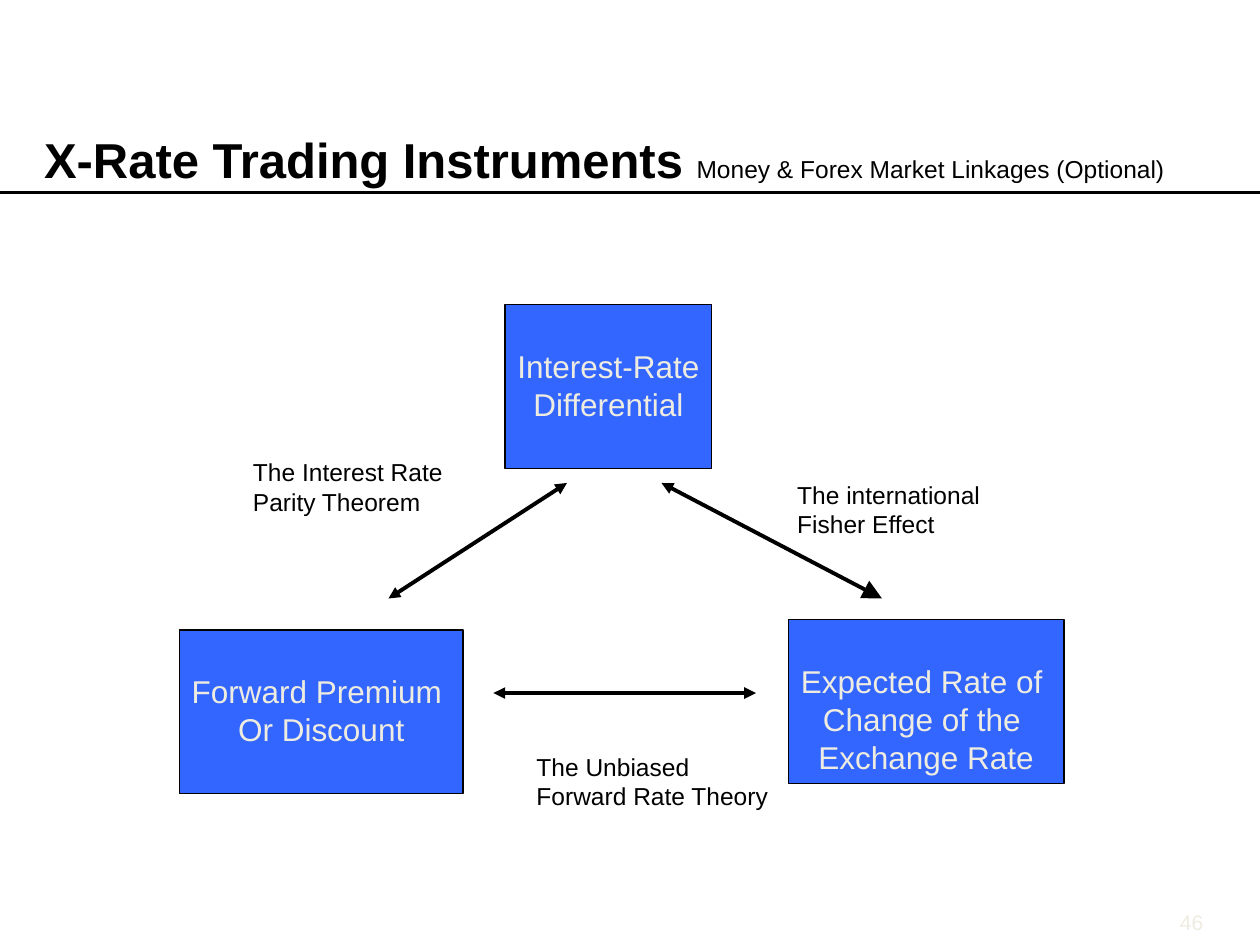
from dataclasses import dataclass

from lxml.etree import SubElement
from pptx import Presentation
from pptx.dml.color import RGBColor as RGB
from pptx.enum.shapes import MSO_CONNECTOR as CONN, MSO_SHAPE as SHAPE
from pptx.enum.text import MSO_ANCHOR as ANCHOR, PP_ALIGN as ALIGN
from pptx.oxml.ns import qn
from pptx.util import Pt


@dataclass(frozen=True)
class Theme:
    """Colours and type sizes of the slide."""
    font: str = "Arial"
    ink: RGB = RGB(0x00, 0x00, 0x00)
    box: RGB = RGB(0x33, 0x66, 0xFF)
    pale: RGB = RGB(0xEE, 0xEC, 0xE1)
    title: int = 28
    body: int = 18
    label: int = 14
    number: int = 12


T = Theme()
BOX_H = 93.6
LABEL_H = 41


def add_run(p, text, size=T.label, color=T.ink, bold=False):
    """Append a formatted run to a paragraph."""
    r = p.add_run()
    r.text = text
    r.font.name, r.font.size, r.font.bold = T.font, Pt(size), bold
    r.font.color.rgb = color


def set_text(tf, lines, align=ALIGN.LEFT, wrap=False, insets=(7.2, 3.6, 7.2, 3.6), **fmt):
    """Fill a text frame with one paragraph per line."""
    tf.word_wrap, tf.vertical_anchor = wrap, ANCHOR.TOP
    tf.margin_left, tf.margin_top, tf.margin_right, tf.margin_bottom = map(Pt, insets)
    for i, line in enumerate(lines):
        p = tf.add_paragraph() if i else tf.paragraphs[0]
        p.alignment = align
        add_run(p, line, **fmt)


def add_text(s, x, y, w, h, lines, **fmt):
    """Add a text box and return its text frame."""
    tf = s.shapes.add_textbox(Pt(x), Pt(y), Pt(w), Pt(h)).text_frame
    set_text(tf, lines, **fmt)
    return tf


def add_box(s, x, y, w, lines):
    """Add a blue box with its text set one line below the top."""
    sp = s.shapes.add_shape(SHAPE.RECTANGLE, Pt(x), Pt(y), Pt(w), Pt(BOX_H))
    sp.shadow.inherit = False
    sp.fill.solid()
    sp.fill.fore_color.rgb = T.box
    sp.line.color.rgb, sp.line.width = T.ink, Pt(0.75)
    set_text(sp.text_frame, lines, align=ALIGN.CENTER, insets=(7.2, 24.3, 7.2, 0),
             size=T.body, color=T.pale)


def add_line(s, x1, y1, x2, y2, width=2.25, heads=("med", "med")):
    """Add a straight line with an arrowhead of the given size at each end."""
    cn = s.shapes.add_connector(CONN.STRAIGHT, Pt(x1), Pt(y1), Pt(x2), Pt(y2))
    cn.line.color.rgb, cn.line.width = T.ink, Pt(width)
    ln = cn.line._get_or_add_ln()
    for tag, size in zip(("a:headEnd", "a:tailEnd"), heads):
        SubElement(ln, qn(tag), type="triangle", w=size, len=size)
    SubElement(cn._element.spPr, qn("a:effectLst"))


def main():
    """Build the slide and save it."""
    prs = Presentation()
    prs.slide_width, prs.slide_height = Pt(720), Pt(540)
    s = prs.slides.add_slide(prs.slide_layouts[6])

    for x, y, w, lines in (
        (288.5, 174, 118.3, ("Interest-Rate", "Differential")),
        (102.5, 360, 162.2, ("Forward Premium ", "Or Discount")),
        (450.5, 354, 157.5, ("Expected Rate of ", "Change of the ", "Exchange Rate")),
    ):
        add_box(s, x, y, w, lines)

    for x, y, w, lines in (
        (448.5, 270.7, 122.4, ("The international", "Fisher Effect")),
        (137.5, 257.8, 126.7, ("The Interest Rate", "Parity Theorem")),
        (299.5, 426.2, 146.9, ("The Unbiased", "Forward Rate Theory")),
    ):
        add_text(s, x, y, w, LABEL_H, lines)

    add_line(s, 378, 276, 504, 342, heads=("med", "lg"))
    add_line(s, 324, 276, 222, 342)
    add_line(s, 282, 396, 432, 396)
    add_line(s, 0, 110, 720, 110, width=1.5, heads=())

    tf = add_text(s, 25.2, 74.2, 669.6, 33.8, ["X-Rate Trading Instruments "], wrap=True,
                  insets=(0, 0, 0, 0), size=T.title, bold=True)
    add_run(tf.paragraphs[0], "Money & Forex Market Linkages (Optional)")
    add_text(s, 640, 516, 54.7, 21, ["46"], align=ALIGN.RIGHT, wrap=True,
             size=T.number, color=T.pale)

    prs.save("out.pptx")


if __name__ == "__main__":
    main()
